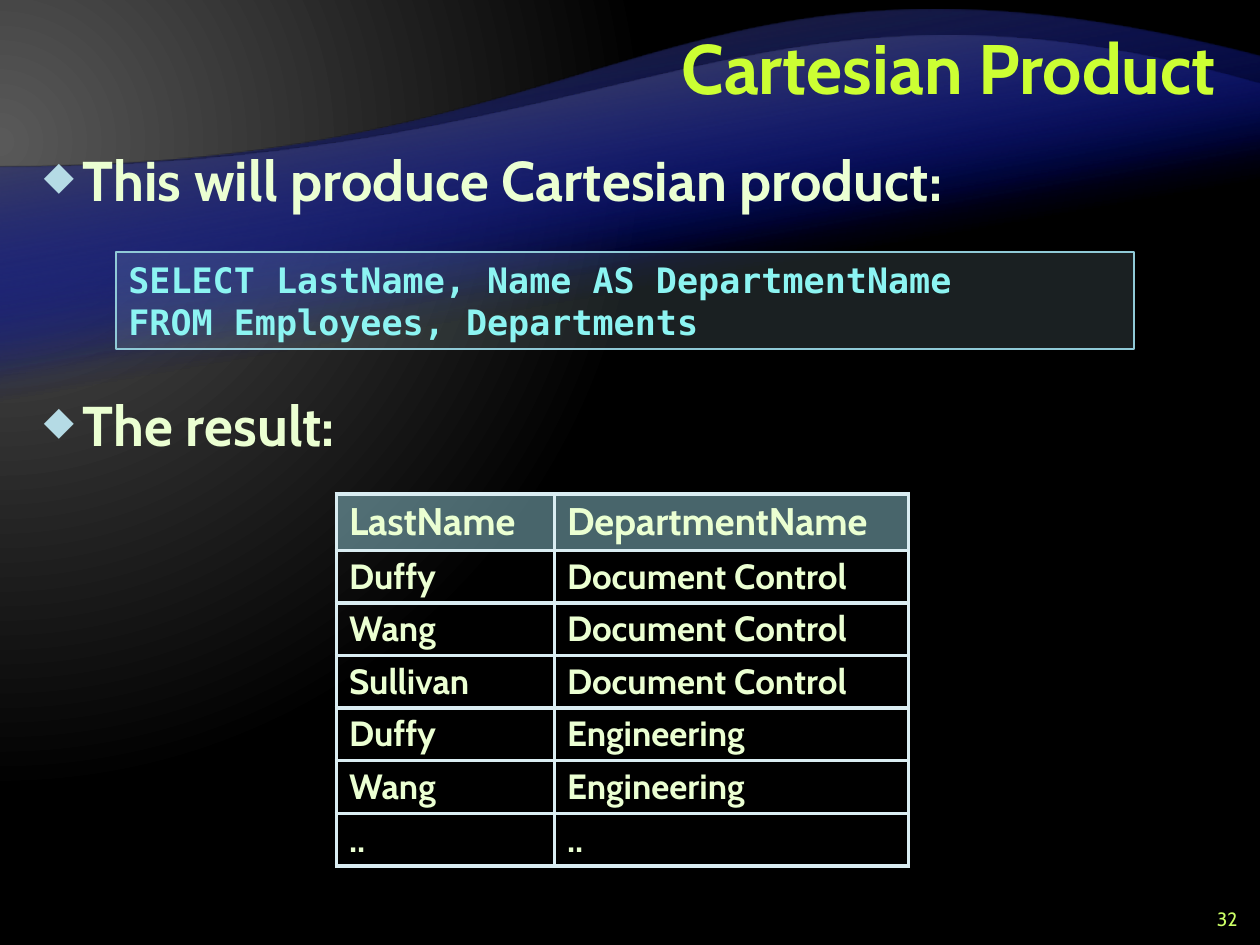
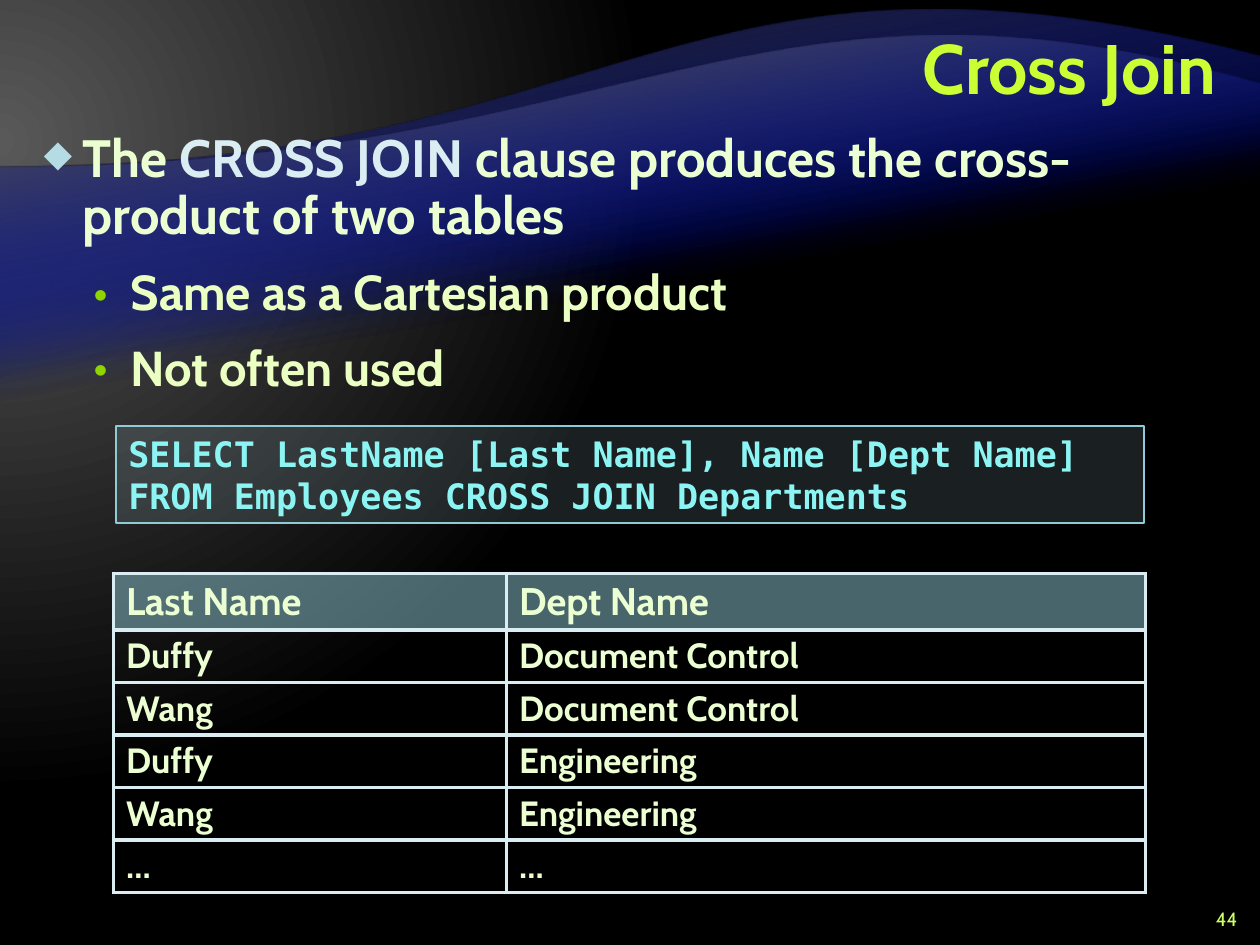
from dataclasses import dataclass
from pptx import Presentation
from pptx.dml.color import RGBColor as RGB
from pptx.enum.shapes import MSO_SHAPE as Preset
from pptx.enum.text import MSO_ANCHOR as Anchor, PP_ALIGN as Align
from pptx.oxml import parse_xml
from pptx.oxml.ns import nsdecls, qn
from pptx.util import Inches, Pt


@dataclass(frozen=True)
class Theme:
    text_font: str = "Cabin"
    code_font: str = "DejaVu Sans Mono"
    symbol_font: str = "OpenSymbol"
    title: str = "CCFF33"
    body: str = "EBFFD2"
    sub_body: str = "EBFFC2"
    keyword: str = "DAEDF2"
    number: str = "CCFF66"
    code: str = "8CF4F2"
    code_fill: str = "B5DBE5"
    accent: str = "90CAD7"
    diamond: str = "B5DBE5"
    dot: str = "8FD600"
    glow: str = "595959"
    dark: str = "000000"
    wave_blue: str = "000D9E"
    wave_gray: str = "262626"
    title_size: int = 40
    header_size: int = 22
    cell_size: int = 20
    code_size: int = 20
    number_size: int = 11


THEME = Theme()
WAVES = [
    (0.45, [(10, 5.2), (5, 5.2), (4.66, 7.28), (0, 6.08)], THEME.wave_gray),
    (0.67, [(10, 4.24), (5, 4.24), (4.02, 6.06), (0, 4.9)], THEME.glow),
]
BULLETS = [
    (0.31, 0.31, THEME.diamond, 70, THEME.symbol_font, "◆"),
    (0.69, 0.3, THEME.dot, 100, THEME.text_font, "•"),
]


def element(tag, attributes="", content=""):
    return parse_xml(f"<a:{tag} {nsdecls('a')} {attributes}>{content}</a:{tag}>")


def apply(target, values):
    for name, value in values.items():
        setattr(target, name, value)


def set_opacity(color_node, percent):
    color_node.append(element("alpha", f'val="{percent * 1000}"'))


def set_gradient(fill, stops):
    fill.gradient()
    for stop, (position, color) in zip(fill.gradient_stops, stops):
        stop.position = position
        stop.color.rgb = RGB.from_string(color)


class SlideBuilder:
    def __init__(self, deck, theme):
        self.deck = deck
        self.theme = theme
        self.layout = deck.slide_layouts[6]
        self.page = None
        self.background()

    def background(self):
        master = self.deck.slide_master
        set_gradient(master.background.fill, [(0, self.theme.glow), (0.83, self.theme.dark)])
        gradient = master._element.find(".//" + qn("a:gradFill"))
        circle = element("path", 'path="circle"',
                         '<a:fillToRect l="20000" t="30000" r="135000" b="100000"/>')
        gradient.replace(gradient.find(qn("a:lin")), circle)

    def start(self, title, number):
        self.page = self.deck.slides.add_slide(self.layout)
        if len(self.deck.slides) == 1:
            for holder in (self.deck.slide_master, self.layout):
                for index, wave in enumerate(WAVES):
                    self.wave(holder, 50 + index, *wave)
        theme = self.theme
        frame = self.text_box(2, 0.08, 7.75, 1, Anchor.MIDDLE)
        apply(frame.paragraphs[0], {"alignment": Align.RIGHT, "line_spacing": Pt(theme.title_size)})
        self.span(frame.paragraphs[0], title, theme.title_size, theme.title)
        frame = self.text_box(9.42, 7.17, 0.5, 0.25, Anchor.MIDDLE)
        frame.paragraphs[0].alignment = Align.RIGHT
        self.span(frame.paragraphs[0], number, theme.number_size, theme.number, bold=False)

    def wave(self, holder, shape_id, top, curve, color):
        start, end = curve[0], curve[-1]
        builder = self.page.shapes.build_freeform(0, 0, Inches(1))
        builder.add_line_segments([(10, 0), start, end])
        shape = builder.convert_to_shape(0, Inches(top))
        scale = Inches(1)
        points = "".join(f'<a:pt x="{round(x * scale)}" y="{round(y * scale)}"/>'
                         for x, y in curve[1:])
        outline = shape._element.find(".//" + qn("a:path"))
        apply(shape, {"width": Inches(10), "height": Inches(end[1]), "rotation": 180})
        outline.set("w", str(Inches(10)))
        outline.set("h", str(Inches(end[1])))
        for node, (x, y) in zip(outline.iter(qn("a:pt")), [(0, 0), (10, 0), start, end]):
            node.set("x", str(round(x * scale)))
            node.set("y", str(round(y * scale)))
        outline.replace(outline.findall(qn("a:lnTo"))[-1], element("cubicBezTo", "", points))
        shape.shadow.inherit = False
        shape.line.fill.background()
        set_gradient(shape.fill, [(0.65, self.theme.wave_blue), (1, color)])
        shape.fill.gradient_angle = 280
        set_opacity(shape._element.find(".//" + qn("a:srgbClr")), 0)
        shape._element.nvSpPr.cNvPr.set("id", str(shape_id))
        holder.shapes._spTree.append(shape._element)

    def text_box(self, left, top, width, height, anchor=Anchor.TOP):
        box = self.page.shapes.add_textbox(*map(Inches, (left, top, width, height)))
        apply(box.text_frame, {"word_wrap": True, "vertical_anchor": anchor})
        return box.text_frame

    def span(self, para, text, size, color, font=None, bold=True):
        span = para.add_run()
        span.text = text
        apply(span.font, {"name": font or self.theme.text_font, "size": Pt(size), "bold": bold})
        span.font.color.rgb = RGB.from_string(color)

    def bullets(self, top, height, items):
        frame = self.text_box(0.25, top, 9.5, height)
        for index, (level, size, before, spans) in enumerate(items):
            para = frame.add_paragraph() if index else frame.paragraphs[0]
            margin, hang, color, percent, font, symbol = BULLETS[level]
            properties = para._p.get_or_add_pPr()
            properties.set("marL", str(Inches(margin)))
            properties.set("indent", str(-Inches(hang)))
            for node in (element("buClr", "", f'<a:srgbClr val="{color}"/>'),
                         element("buSzPct", f'val="{percent * 1000}"'),
                         element("buFont", f'typeface="{font}"'),
                         element("buChar", f'char="{symbol}"')):
                properties.append(node)
            apply(para, {"level": level, "line_spacing": 0.9,
                         "space_before": Pt(before), "space_after": Pt(6)})
            for text, text_color in spans:
                self.span(para, text, size, text_color)

    def code(self, top, width, lines):
        theme = self.theme
        box = self.page.shapes.add_shape(
            Preset.RECTANGLE, *map(Inches, (0.92, top, width, 0.77)))
        box.shadow.inherit = False
        box.fill.solid()
        box.fill.fore_color.rgb = RGB.from_string(theme.code_fill)
        set_opacity(box._element.spPr.find(qn("a:solidFill"))[0], 15)
        box.line.color.rgb = RGB.from_string(theme.accent)
        box.line.width = Pt(1)
        frame = box.text_frame
        apply(frame, {"word_wrap": True, "vertical_anchor": Anchor.TOP})
        for index, line in enumerate(lines):
            para = frame.add_paragraph() if index else frame.paragraphs[0]
            para.alignment = Align.LEFT
            self.span(para, line, theme.code_size, theme.code, theme.code_font)

    def table(self, left, top, widths, rows):
        heights = [0.38] * (len(rows) - 1) + [0.33]
        frame = self.page.shapes.add_table(
            len(rows), len(widths), *map(Inches, (left, top, sum(widths), sum(heights))))
        table = frame.table
        apply(table, {"first_row": False, "horz_banding": False})
        for column, width in zip(table.columns, widths):
            column.width = Inches(width)
        for row, height in zip(table.rows, heights):
            row.height = Inches(height)
        for row_index, values in enumerate(rows):
            for column_index, value in enumerate(values):
                self.cell(table.cell(row_index, column_index), value, row_index == 0)

    def cell(self, cell, value, is_header):
        theme = self.theme
        properties = cell._tc.get_or_add_tcPr()
        for side in "LRTB":
            properties.append(element(
                f"ln{side}", f'w="{Pt(2.25)}"',
                f'<a:solidFill><a:srgbClr val="{theme.keyword}"/></a:solidFill>'))
        if is_header:
            cell.fill.solid()
            cell.fill.fore_color.rgb = RGB.from_string(theme.accent)
            set_opacity(properties.find(qn("a:solidFill"))[0], 50)
        else:
            cell.fill.background()
        para = cell.text_frame.paragraphs[0]
        para.line_spacing = 0.95
        self.span(para, value, theme.header_size if is_header else theme.cell_size, theme.body)


def cartesian_product(slide):
    body = THEME.body
    slide.start("Cartesian Product", "32")
    slide.bullets(1.17, 6.17, [
        (0, 32, 0, [("This will produce Cartesian product:", body)]),
        (0, 32, 99, [("The result:", body)]),
    ])
    slide.code(2, 8.08, ["SELECT LastName, Name AS DepartmentName",
                         "FROM Employees, Departments"])
    slide.table(2.67, 3.92, [1.73, 2.81], [
        ("LastName", "DepartmentName"),
        ("Duffy", "Document Control"),
        ("Wang", "Document Control"),
        ("Sullivan", "Document Control"),
        ("Duffy", "Engineering"),
        ("Wang", "Engineering"),
        ("..", ".."),
    ])


def cross_join(slide):
    body = THEME.body
    slide.start("Cross Join", "44")
    slide.bullets(1, 6.14, [
        (0, 30, 0, [("The ", body), ("CROSS JOIN ", THEME.keyword),
                    ("clause produces the cross-product of two tables", body)]),
        (1, 28, 7, [("Same as a Cartesian product", THEME.sub_body)]),
        (1, 28, 7, [("Not often used", THEME.sub_body)]),
    ])
    slide.code(3.38, 8.16, ["SELECT LastName [Last Name], Name [Dept Name]",
                            "FROM Employees CROSS JOIN Departments"])
    slide.table(0.9, 4.55, [3.12, 5.07], [
        ("Last Name", "Dept Name"),
        ("Duffy", "Document Control"),
        ("Wang", "Document Control"),
        ("Duffy", "Engineering"),
        ("Wang", "Engineering"),
        ("…", "…"),
    ])


def main():
    deck = Presentation()
    apply(deck, {"slide_width": Inches(10), "slide_height": Inches(7.5)})
    slide = SlideBuilder(deck, THEME)
    cartesian_product(slide)
    cross_join(slide)
    deck.save("out.pptx")


if __name__ == "__main__":
    main()
